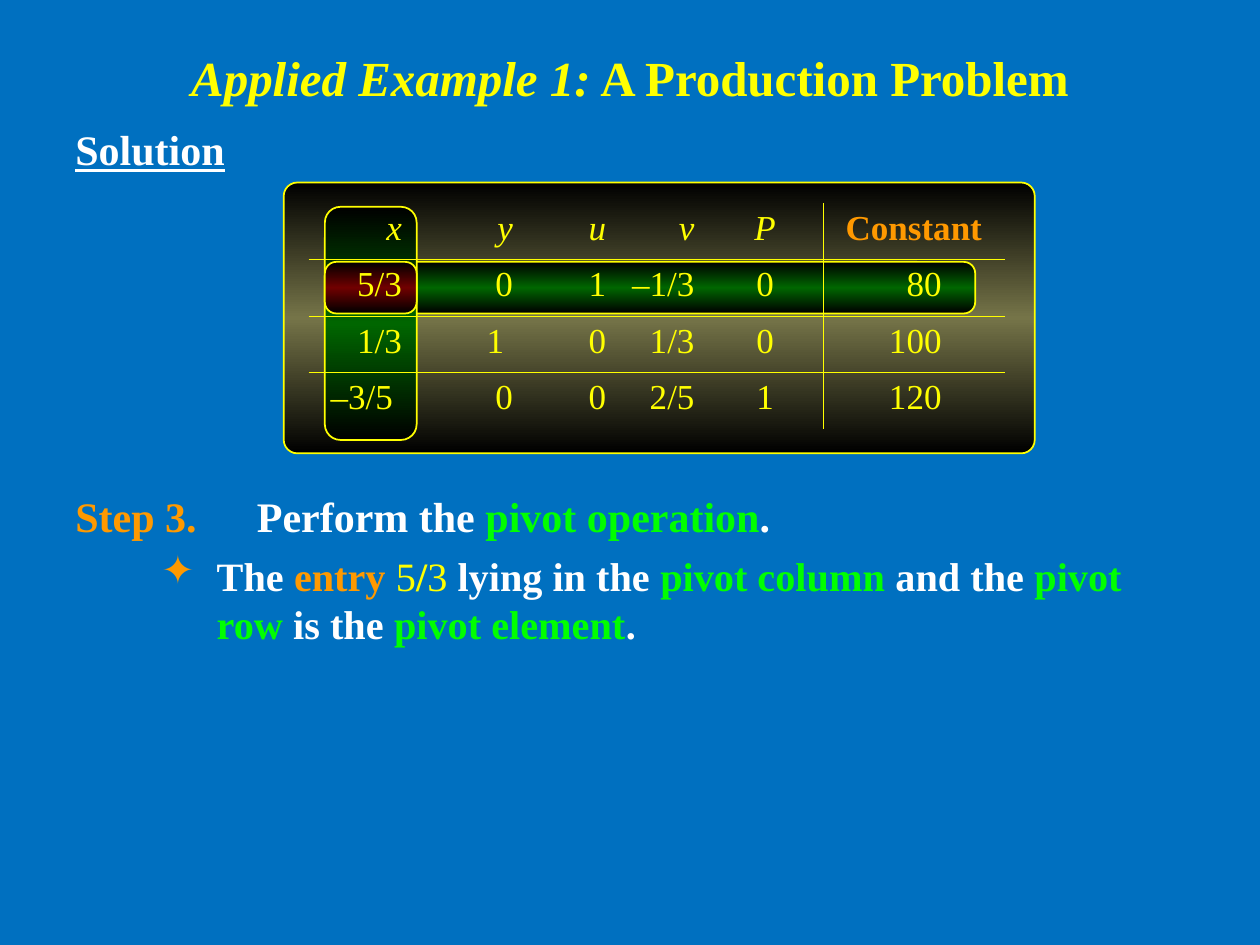
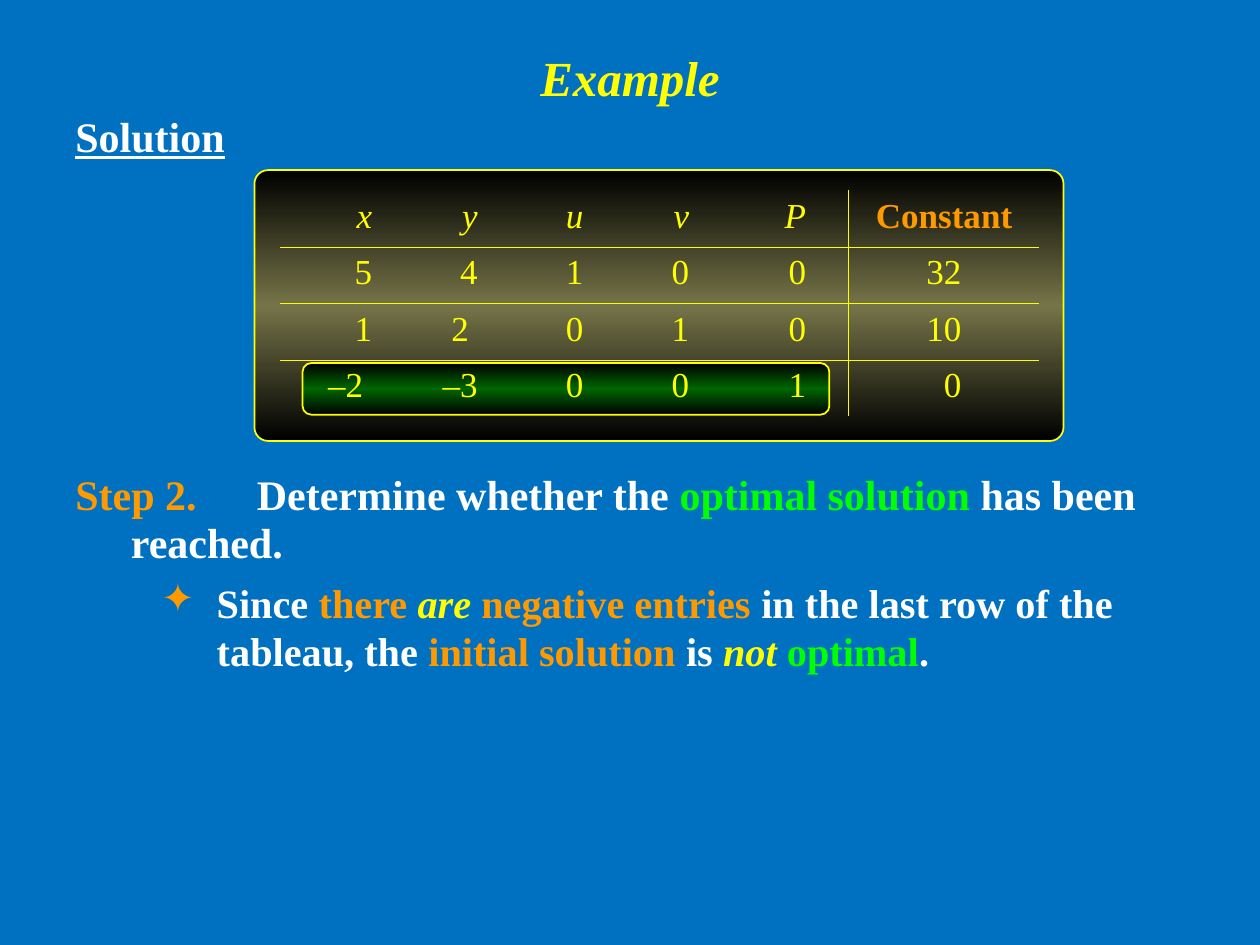
"""Build two slides that walk through simplex tableaux for a production problem."""
from lxml import etree
from pptx import Presentation
from pptx.dml.color import RGBColor
from pptx.enum.shapes import MSO_SHAPE
from pptx.enum.text import MSO_ANCHOR, PP_ALIGN
from pptx.oxml.ns import qn
from pptx.util import Cm, Pt

ROUNDED = MSO_SHAPE.ROUNDED_RECTANGLE
MIDDLE = MSO_ANCHOR.MIDDLE
LEFT, CENTER, RIGHT = PP_ALIGN.LEFT, PP_ALIGN.CENTER, PP_ALIGN.RIGHT

COLORS = {
    "background": "0070C0", "yellow": "FFFF00", "white": "FFFFFF",
    "orange": "FF9900", "green": "00FF00", "black": "000000",
    "olive": "757448", "dark green": "006600", "dark red": "700000",
}
FONT = "Times New Roman"
NO_TABLE_STYLE = "{2D5ABB26-0587-4C30-8999-92F81FD0307C}"
BOLD = {"bold": True}
PLAIN = {"bold": False}
BOLD_ITALIC = {"bold": True, "italic": True}
ROW_HEIGHT = 1.14
MARGIN = 0.25
NUDGE = 0.18
HANGING = 1.12

SLIDES = [
    {
        "title": [("Applied Example 1:", "yellow", BOLD_ITALIC),
                  (" A Production Problem", "yellow", BOLD)],
        "solution top": 2.37,
        "panels": [
            ((5.72, 3.68, 15.14, 5.46), 0.05, "olive"),
            ((6.55, 5.28, 13.11, 1.04), 0.22, "dark green"),
            ((6.55, 4.17, 1.85, 4.7), 0.17, "dark green"),
            ((6.55, 5.28, 1.85, 1.04), 0.22, "dark red"),
        ],
        "tableau at": (6.22, 4.09),
        "columns": [2.13, 2.24, 1.88, 1.78, 2.34, 3.66],
        "rows": [
            ["x", "y", "u", "v", "P", "Constant"],
            ["5/3", "0", "1", "–1/3", "0", "80"],
            ["1/3", "1", "0", "1/3", "0", "100"],
            ["–3/5", "0", "0", "2/5", "1", "120"],
        ],
        "centered column": 4,
        "nudged cells": [(2, 1), (3, 0)],
        "constant margin": 1.27,
        "step top": 9.76,
        "step spacing": 1.0,
        "step": [("Step 3.\t", "orange", BOLD), ("Perform the ", "white", BOLD),
                 ("pivot operation", "green", BOLD), (".", "white", BOLD)],
        "detail": [("The ", "white", BOLD), ("entry ", "orange", BOLD),
                   ("5", "yellow", PLAIN), ("/", "yellow", BOLD),
                   ("3 ", "yellow", PLAIN), ("lying in the ", "white", BOLD),
                   ("pivot column", "green", BOLD), (" and the ", "white", BOLD),
                   ("pivot row", "green", BOLD), (" is the ", "white", BOLD),
                   ("pivot element", "green", BOLD), (".", "white", BOLD)],
    },
    {
        "title": [("Example", "yellow", BOLD_ITALIC)],
        "solution top": 2.11,
        "panels": [
            ((5.13, 3.43, 16.31, 5.46), 0.05, "olive"),
            ((6.1, 7.32, 10.62, 1.04), 0.17, "dark green"),
        ],
        "tableau at": (5.64, 3.84),
        "columns": [2.11, 2.13, 2.13, 2.13, 2.36, 0.61, 3.84],
        "rows": [
            ["x", "y", "u", "v", "P", "", "Constant"],
            ["5", "4", "1", "0", "0", "", "32"],
            ["1", "2", "0", "1", "0", "", "10"],
            ["–2", "–3", "0", "0", "1", "", "0"],
        ],
        "centered column": None,
        "nudged cells": [(2, 1), (3, 0)],
        "constant margin": 1.57,
        "step top": 9.4,
        "step spacing": 0.95,
        "step": [("Step 2.\t", "orange", BOLD),
                 ("Determine whether the ", "white", BOLD),
                 ("optimal solution", "green", BOLD),
                 (" has been reached.", "white", BOLD)],
        "detail": [("Since ", "white", BOLD), ("there ", "orange", BOLD),
                   ("are", "yellow", BOLD_ITALIC),
                   (" negative entries", "orange", BOLD),
                   (" in the last row of the tableau, the ", "white", BOLD),
                   ("initial solution", "orange", BOLD), (" is ", "white", BOLD),
                   ("not", "yellow", BOLD_ITALIC), (" optimal", "green", BOLD),
                   (".", "white", BOLD)],
    },
]


def write_runs(paragraph, runs, size, alignment=LEFT):
    """Add formatted runs to a paragraph."""
    paragraph.alignment = alignment
    for text, color, style in runs:
        run = paragraph.add_run()
        run.text = text
        run.font.color.rgb = RGBColor.from_string(COLORS[color])
        for attribute, value in {"name": FONT, "size": Pt(size), **style}.items():
            setattr(run.font, attribute, value)


def add_color(parent, color):
    """Append a solid colour element to an XML parent."""
    etree.SubElement(parent, qn("a:srgbClr"), val=COLORS[color])


prs = Presentation()
prs.slide_width, prs.slide_height = Cm(25.4), Cm(19.05)

for content in SLIDES:
    slide = prs.slides.add_slide(prs.slide_layouts[6])
    slide.background.fill.solid()
    slide.background.fill.fore_color.rgb = RGBColor.from_string(COLORS["background"])

    frames = []
    for top, width, height in [(0, 22.86, 3.12), (content["solution top"], 23.06, 1.3),
                               (content["step top"], 23.06, 5)]:
        box = slide.shapes.add_textbox(Cm(1.27), Cm(top), Cm(width), Cm(height))
        box.text_frame.word_wrap = True
        frames.append(box.text_frame)
    title, solution, explanation = frames

    title.vertical_anchor = MIDDLE
    write_runs(title.paragraphs[0], content["title"], 28, CENTER)
    write_runs(solution.paragraphs[0],
               [("Solution", "white", {"bold": True, "underline": True})], 24)

    step = explanation.paragraphs[0]
    step.line_spacing = content["step spacing"]
    detail = explanation.add_paragraph()
    detail.space_before = Pt(5.8)
    for paragraph, indent in [(step, HANGING), (detail, 2.85)]:
        properties = paragraph._p.get_or_add_pPr()
        for key, length in {"marL": indent, "indent": -HANGING, "defTabSz": 2.54}.items():
            properties.set(key, str(Cm(length)))
    add_color(etree.SubElement(properties, qn("a:buClr")), "orange")
    etree.SubElement(properties, qn("a:buChar"), char="✦")
    write_runs(step, content["step"], 24)
    write_runs(detail, content["detail"], 23)

    for bounds, corner, middle_color in content["panels"]:
        panel = slide.shapes.add_shape(ROUNDED, *map(Cm, bounds))
        panel.shadow.inherit = False
        panel.adjustments[0] = corner
        panel.line.color.rgb = RGBColor.from_string(COLORS["yellow"])
        panel.line.width = Pt(1)
        panel.fill.background()
        no_fill = panel._element.spPr.find(qn("a:noFill"))
        gradient = etree.Element(qn("a:gradFill"), rotWithShape="1")
        stops = etree.SubElement(gradient, qn("a:gsLst"))
        for position, color in [(0, "black"), (50000, middle_color), (100000, "black")]:
            add_color(etree.SubElement(stops, qn("a:gs"), pos=str(position)), color)
        etree.SubElement(gradient, qn("a:lin"), ang="5400000", scaled="0")
        no_fill.getparent().replace(no_fill, gradient)

    rows, columns = content["rows"], content["columns"]
    last = len(columns) - 1
    left, top = content["tableau at"]
    graphic = slide.shapes.add_table(len(rows), len(columns), Cm(left), Cm(top),
                                     Cm(sum(columns)), Cm(ROW_HEIGHT * len(rows)))
    tableau = graphic.table
    tableau.first_row = tableau.horz_banding = False
    tableau._tbl.tblPr.find(qn("a:tableStyleId")).text = NO_TABLE_STYLE
    for column, width in zip(tableau.columns, columns):
        column.width = Cm(width)
    for r, values in enumerate(rows):
        tableau.rows[r].height = Cm(ROW_HEIGHT)
        for c, value in enumerate(values):
            cell = tableau.cell(r, c)
            borders = {"a:lnL": c == last, "a:lnR": c == last - 1,
                       "a:lnT": r in (1, 3), "a:lnB": r in (0, 2)}
            for side, drawn in borders.items():
                if drawn:
                    border = etree.SubElement(cell._tc.get_or_add_tcPr(), qn(side),
                                              w=str(Pt(0.45)))
                    add_color(etree.SubElement(border, qn("a:solidFill")), "yellow")
            cell.fill.background()
            if not value:
                continue
            is_constant_header = r == 0 and c == last
            centered = is_constant_header or c == content["centered column"]
            margin = MARGIN
            if c == last and r > 0:
                margin = content["constant margin"]
            elif (r, c) in content["nudged cells"]:
                margin += NUDGE
            cell.margin_right = Cm(margin)
            color = "orange" if is_constant_header else "yellow"
            style = {"bold": is_constant_header, "italic": r == 0 and c < last}
            write_runs(cell.text_frame.paragraphs[0], [(value, color, style)], 20,
                       CENTER if centered else RIGHT)

prs.save("out.pptx")
